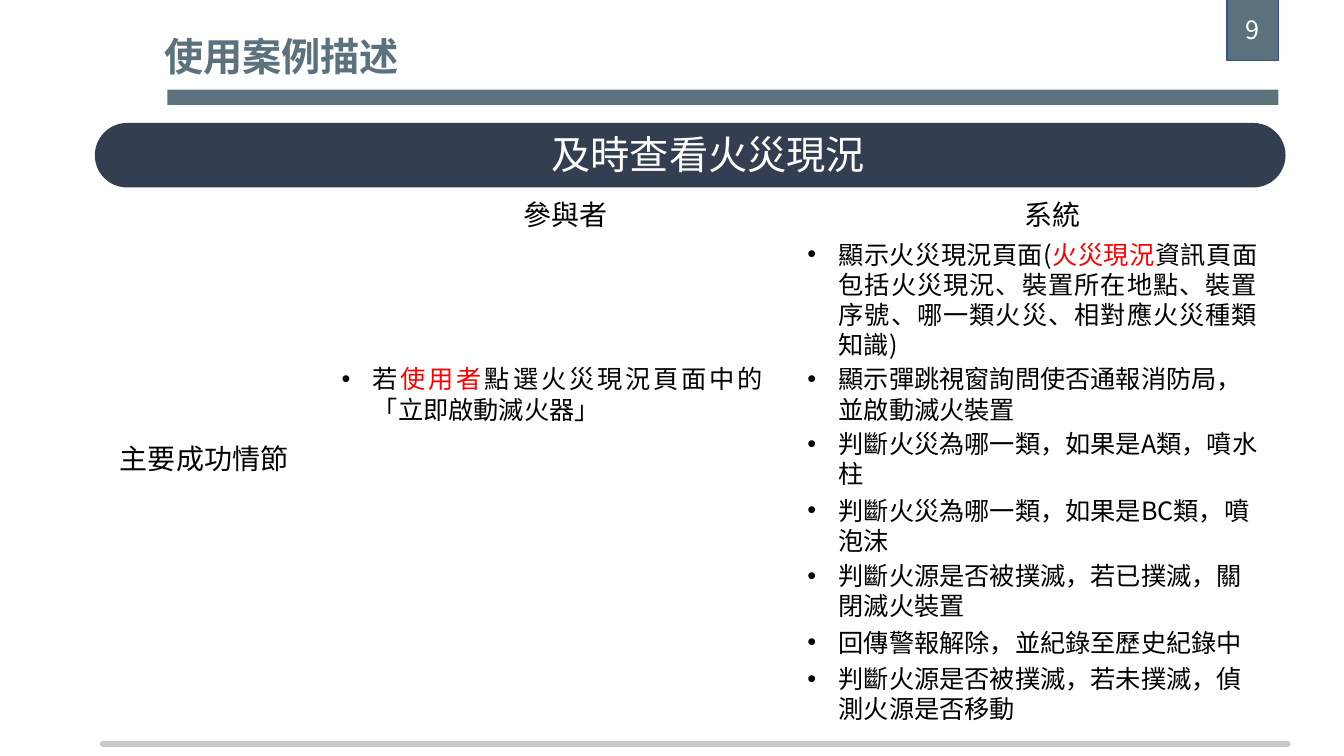
from pptx import Presentation
from pptx.dml.color import RGBColor
from pptx.enum import shapes, text
from pptx.oxml import parse_xml
from pptx.oxml.ns import nsdecls
from pptx.util import Inches, Pt

FONT = "Noto Sans CJK SC"
COLORS = {"slate": "5B727D", "navy": "333F50", "gray": "C9C9C9", "edge": "325491",
          "black": "000000", "white": "FFFFFF", "red": "FF0000"}
LEFT, CENTER, JUSTIFY = text.PP_ALIGN.LEFT, text.PP_ALIGN.CENTER, text.PP_ALIGN.JUSTIFY
RECT, ROUND = shapes.MSO_SHAPE.RECTANGLE, shapes.MSO_SHAPE.ROUNDED_RECTANGLE

BARS = [
    (RECT, (1.66, 0.89, 11.02, 0.15), "slate"),
    (ROUND, (0.94, 1.22, 11.81, 0.64), "navy"),
    (ROUND, (0.99, 7.35, 11.81, 0.06), "gray"),
]
PAGE_NUMBER = "9"
TITLE = "使用案例描述"
HEADINGS = [
    ("及時查看火災現況", (5.21, 1.17, 3.63, 0.71), 28, "white", CENTER),
    ("主要成功情節", (0.95, 4.26, 2.17, 0.58), 20, "black", LEFT),
    ("參與者", (4.95, 1.84, 1.33, 0.58), 20, "black", LEFT),
    ("系統", (9.92, 1.84, 1.05, 0.58), 20, "black", LEFT),
]
ACTOR_COLUMN, SYSTEM_COLUMN = (3.29, 4.37), (7.91, 4.66)
ACTOR_STEPS = [
    (3.56, 2, JUSTIFY, ["若", "使用者", "點選火災現況頁面中的「立即啟動滅火器」"]),
]
SYSTEM_STEPS = [
    (2.32, 4, JUSTIFY, ["顯示火災現況頁面(", "火災現況",
                        "資訊頁面包括火災現況、裝置所在地點、裝置序號、哪一類火災、相對應火災種類知識)"]),
    (3.56, 2, LEFT, ["顯示彈跳視窗詢問使否通報消防局，並啟動滅火裝置"]),
    (4.2, 2, LEFT, ["判斷火災為哪一類，如果是A類，噴水柱"]),
    (4.86, 2, LEFT, ["判斷火災為哪一類，如果是BC類，噴泡沫"]),
    (5.51, 2, LEFT, ["判斷火源是否被撲滅，若已撲滅，關閉滅火裝置"]),
    (6.17, 1, LEFT, ["回傳警報解除，並紀錄至歷史紀錄中"]),
    (6.53, 2, LEFT, ["判斷火源是否被撲滅，若未撲滅，偵測火源是否移動"]),
]

deck = Presentation()
deck.slide_width, deck.slide_height = Inches(13.33), Inches(7.5)
slide = deck.slides.add_slide(deck.slide_layouts[6])


def rgb(name):
    return RGBColor.from_string(COLORS[name])


def add_bar(kind, place, color):
    bar = slide.shapes.add_shape(kind, *map(Inches, place))
    bar.shadow.inherit = False
    bar.fill.solid()
    bar.fill.fore_color.rgb = rgb(color)
    bar.line.fill.background()
    if kind == ROUND:
        bar.adjustments[0] = 0.5
    return bar


def format_run(run, size, color, bold=False):
    run.font.size, run.font.name, run.font.bold = Pt(size), FONT, bold
    run.font.color.rgb = rgb(color)
    run.font._element.append(parse_xml(f'<a:ea {nsdecls("a")} typeface="{FONT}"/>'))


def add_words(place, parts, size, color, align=LEFT, bold=False, wrap=False):
    box = slide.shapes.add_textbox(*map(Inches, place))
    frame = box.text_frame
    frame.word_wrap = wrap
    paragraph = frame.paragraphs[0]
    paragraph.alignment = align
    for index, part in enumerate(parts):
        run = paragraph.add_run()
        run.text = part
        format_run(run, size, "red" if index == 1 else color, bold)
    return frame


def add_step(column, top, lines, align, parts):
    left, width = column
    place = (left, top, width, 0.1 + 0.305 * lines)
    frame = add_words(place, parts, 18, "black", align, wrap=True)
    properties = frame.paragraphs[0]._p.get_or_add_pPr()
    properties.set("marL", str(Inches(0.31)))
    properties.set("indent", str(-Inches(0.31)))
    properties.append(parse_xml(f'<a:buFont {nsdecls("a")} typeface="Arial"/>'))
    properties.append(parse_xml(f'<a:buChar {nsdecls("a")} char="•"/>'))


for bar in BARS:
    add_bar(*bar)

for words, place, size, color, align in HEADINGS:
    frame = add_words(place, [words], size, color, align)
    frame.margin_left = frame.margin_right = Inches(0.24)
    frame.margin_top = frame.margin_bottom = Inches(0.12)

for column, steps in ((ACTOR_COLUMN, ACTOR_STEPS), (SYSTEM_COLUMN, SYSTEM_STEPS)):
    for step in steps:
        add_step(column, *step)

add_words((1.53, 0.27, 2.56, 0.57), [TITLE], 28, "slate", bold=True)

badge = add_bar(RECT, (12.17, -0.01, 0.51, 0.61), "slate")
badge.line.color.rgb = rgb("edge")
badge.line.width = Pt(1)
badge.text_frame.text = PAGE_NUMBER
badge.text_frame.vertical_anchor = text.MSO_ANCHOR.MIDDLE
number = badge.text_frame.paragraphs[0]
number.alignment = CENTER
format_run(number.runs[0], 18, "white")

deck.save("out.pptx")
